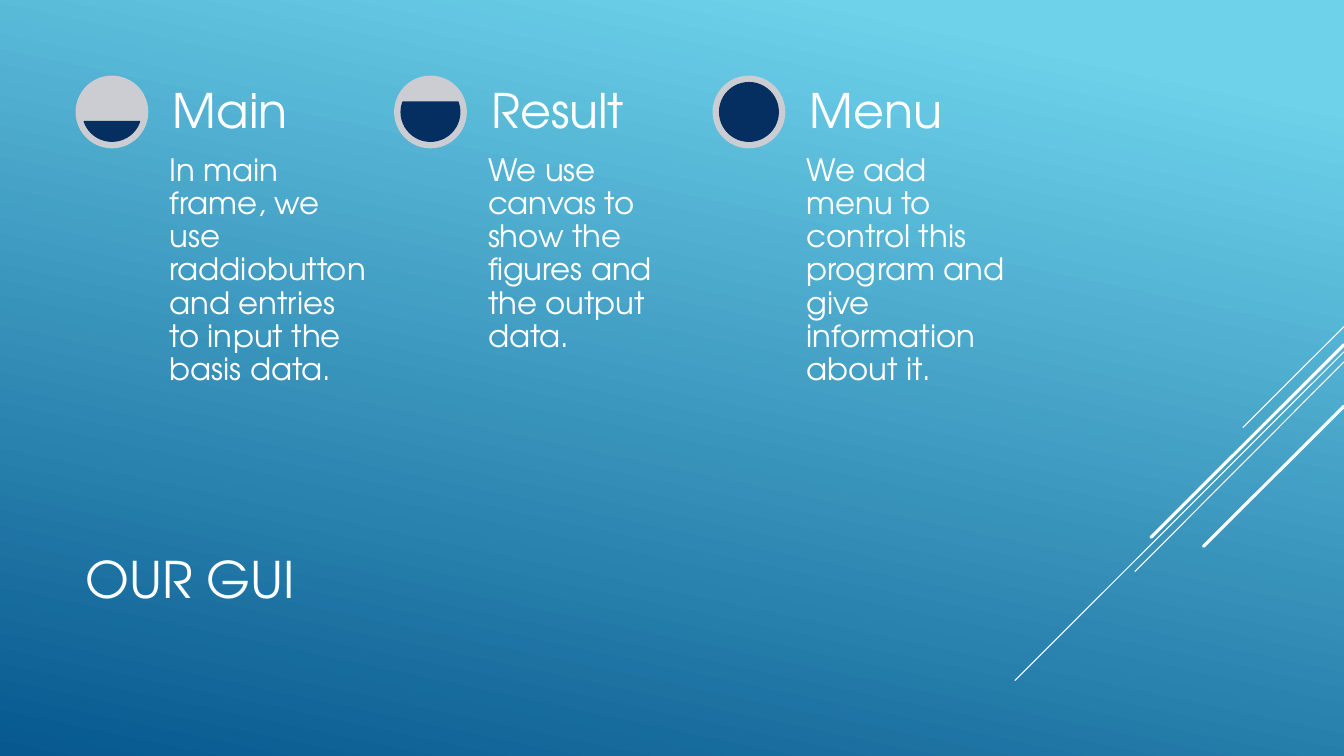
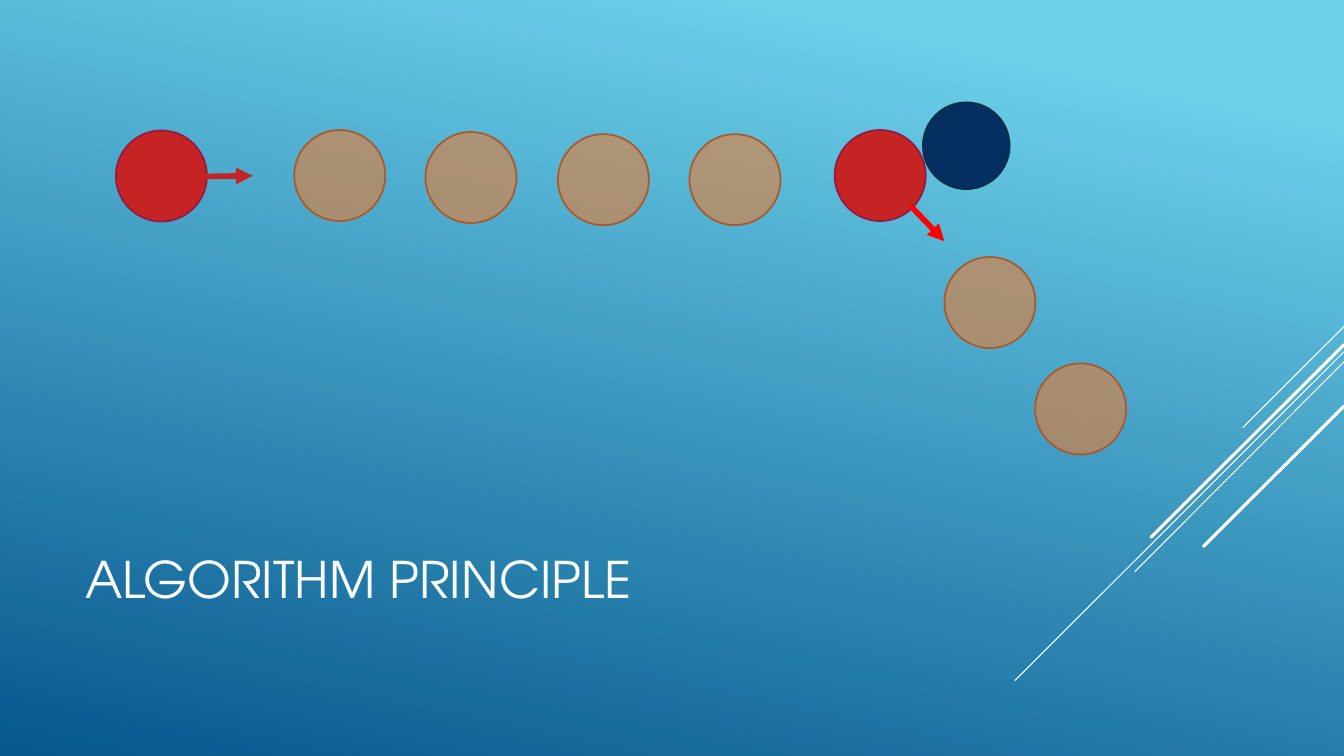
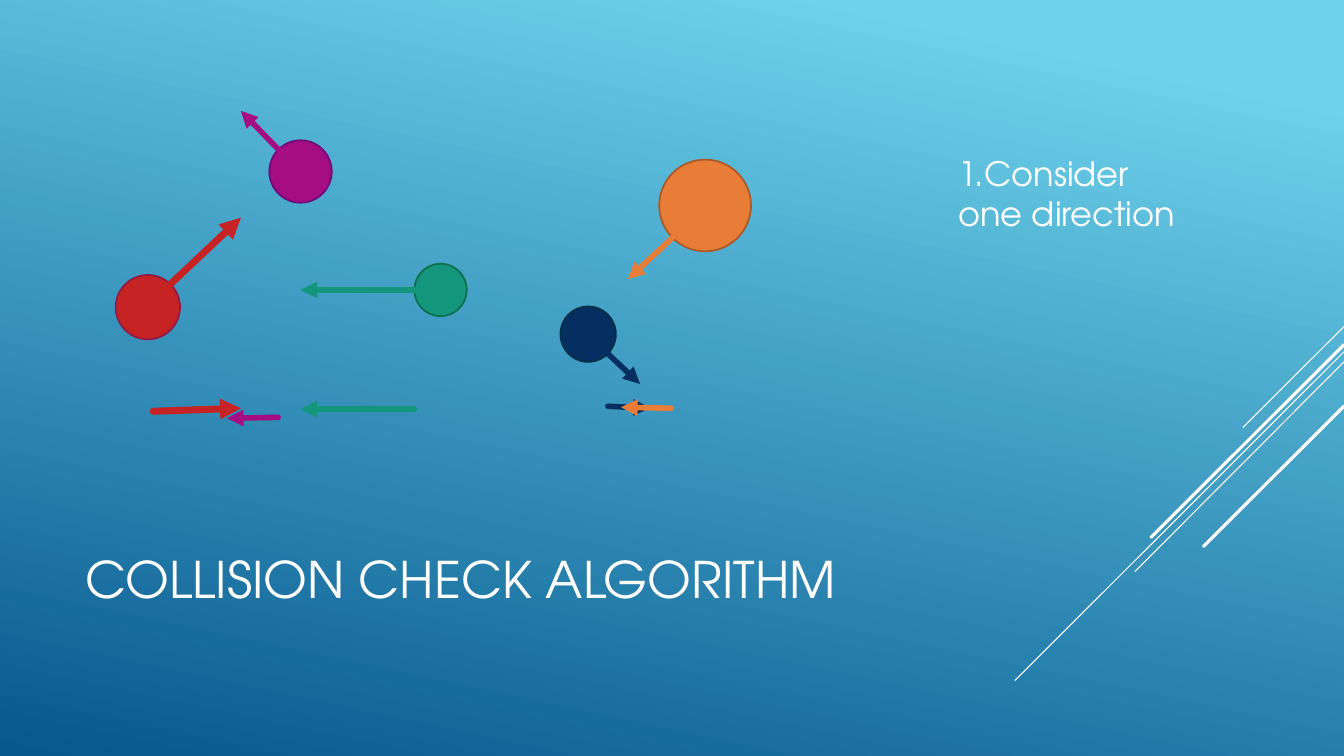
from dataclasses import dataclass
from math import asin, degrees
from typing import NamedTuple

from lxml.etree import SubElement
from pptx import Presentation
from pptx.dml.color import RGBColor
from pptx.enum.shapes import MSO_CONNECTOR as Connector, MSO_SHAPE as Preset
from pptx.enum.text import MSO_ANCHOR as Anchor, PP_ALIGN as Align
from pptx.oxml.ns import qn
from pptx.util import Pt


@dataclass(frozen=True)
class Theme:
    font: str = "TeX Gyre Adventor"
    title_size: float = 36
    heading_size: float = 34
    note_size: float = 24
    body_size: float = 22
    outline: float = 1.25
    arrow: float = 4
    heavy_arrow: float = 5
    white: str = "FFFFFF"
    sky: str = "6ED2EB"
    deep: str = "06588E"
    gray: str = "CCCDD2"
    navy: str = "052F61"
    navy_edge: str = "043148"
    red: str = "C62324"
    red_edge: str = "921A46"
    bright_red: str = "FF0000"
    purple: str = "A50E82"
    purple_edge: str = "710A7A"
    green: str = "14967C"
    green_edge: str = "0F6F4C"
    orange: str = "E87D37"
    orange_edge: str = "AC5929"


THEME = Theme()


class Ball(NamedTuple):
    left: float
    top: float
    diameter: float
    fill: str
    edge: str
    opacity: int = 100


class Line(NamedTuple):
    start: tuple[float, float]
    end: tuple[float, float]
    color: str
    width: float = THEME.arrow


class Frame(NamedTuple):
    heading: str
    body: str
    level: float


RAYS = [
    Line((960, 233.3), (887.8, 305.3), THEME.white, 0.75),
    Line((960, 251.3), (725, 486), THEME.white, 0.75),
    Line((960, 258.5), (810.7, 408.2), THEME.white, 0.75),
    Line((960, 246.2), (822.2, 383.8), THEME.white, 2.25),
    Line((960, 290.2), (859.7, 390.2), THEME.white, 2.25),
]

FRAMES = [
    Frame("Main", "In main frame, we use raddiobutton and entries to input the basis data.", 1 / 3),
    Frame("Result", "We use canvas to show the figures and the output data.", 2 / 3),
    Frame("Menu", "We add menu to control this program and give information about it.", 1),
]

GHOST_POSITIONS = [(210.2, 92.9), (303.9, 94.3), (398.5, 95.8), (492.5, 95.8),
                   (674.6, 183.6), (739.4, 259.6)]

PATH_BALLS = [
    Ball(82.8, 93.2, 65, THEME.red, THEME.red_edge),
    Ball(596.2, 92.9, 65, THEME.red, THEME.red_edge),
    *(Ball(left, top, 65, THEME.orange, THEME.orange_edge, 60) for left, top in GHOST_POSITIONS),
    Ball(659.2, 73.1, 62, THEME.navy, THEME.navy_edge),
]

PATH_ARROWS = [
    Line((147.6, 126), (180.5, 125.5), THEME.red),
    Line((651.6, 148.3), (674.6, 172.3), THEME.bright_red),
]

COLLISION_BALLS = [
    Ball(82.6, 196.4, 46, THEME.red, THEME.red_edge),
    Ball(192.4, 100.2, 44.6, THEME.purple, THEME.purple_edge),
    Ball(296, 188.4, 37.4, THEME.green, THEME.green_edge),
    Ball(470.9, 114, 65.5, THEME.orange, THEME.orange_edge),
    Ball(400.3, 218.9, 39.6, THEME.navy, THEME.navy_edge),
]

VELOCITY_ARROWS = [
    Line((121.7, 203), (172.1, 155.5), THEME.red, THEME.heavy_arrow),
    Line((198.7, 106.6), (172.1, 79.2), THEME.purple),
    Line((296, 207.2), (214.6, 207.2), THEME.green),
    Line((434.2, 252.7), (457.2, 274.3), THEME.navy),
    Line((480.2, 169.9), (448.6, 199.4), THEME.orange),
]

HORIZONTAL_ARROWS = [
    Line((109.4, 293.8), (172.1, 291.6), THEME.red, THEME.heavy_arrow),
    Line((198.7, 298.1), (162, 298.8), THEME.purple),
    Line((296, 292.3), (214.6, 292.3), THEME.green),
    Line((434.2, 290.2), (464.4, 291.6), THEME.navy),
    Line((479.5, 291.6), (443.5, 290.9), THEME.orange),
]


def color(value: str) -> RGBColor:
    return RGBColor.from_string(value)


def add_text(slide, text: str, left: float, top: float, width: float, height: float,
             size: float, anchor=Anchor.TOP, inset: float = 7.2, spacing: float = 1.0) -> None:
    shape = slide.shapes.add_textbox(Pt(left), Pt(top), Pt(width), Pt(height))
    frame = shape.text_frame
    frame.text = text
    frame.word_wrap = True
    frame.vertical_anchor = anchor
    frame.margin_left = frame.margin_right = Pt(inset)
    frame.margin_top = frame.margin_bottom = Pt(inset if inset != 7.2 else 3.6)
    paragraph = frame.paragraphs[0]
    paragraph.alignment = Align.LEFT
    paragraph.line_spacing = spacing
    font = paragraph.runs[0].font
    font.name = THEME.font
    font.size = Pt(size)
    font.color.rgb = color(THEME.white)


def add_line(slide, line: Line, arrow: bool = True) -> None:
    connector = slide.shapes.add_connector(
        Connector.STRAIGHT, *(Pt(value) for value in (*line.start, *line.end)))
    connector.line.color.rgb = color(line.color)
    connector.line.width = Pt(line.width)
    properties = connector.element.spPr
    outline = properties.find(qn("a:ln"))
    outline.set("cap", "rnd")
    if arrow:
        SubElement(outline, qn("a:tailEnd")).set("type", "triangle")
    SubElement(properties, qn("a:effectLst"))


def add_ball(slide, ball: Ball, preset=Preset.OVAL):
    shape = slide.shapes.add_shape(
        preset, Pt(ball.left), Pt(ball.top), Pt(ball.diameter), Pt(ball.diameter))
    shape.shadow.inherit = False
    shape.fill.solid()
    shape.fill.fore_color.rgb = color(ball.fill)
    if ball.opacity < 100:
        fill_color = shape.element.spPr.find(qn("a:solidFill"))[0]
        SubElement(fill_color, qn("a:alpha")).set("val", str(ball.opacity * 1000))
    shape.line.color.rgb = color(ball.edge)
    shape.line.width = Pt(THEME.outline)
    return shape


def add_gauge(slide, left: float, top: float, level: float) -> None:
    rim = add_ball(slide, Ball(left, top, 52, THEME.gray, THEME.gray))
    rim.line.fill.background()
    liquid = add_ball(slide, Ball(left + 5.2, top + 5.2, 41.6, THEME.navy, THEME.navy), Preset.CHORD)
    angle = degrees(asin(1 - 2 * level))
    adjustment_per_degree = 0.6
    liquid.adjustments[0] = angle % 360 * adjustment_per_degree
    liquid.adjustments[1] = (180 - angle) * adjustment_per_degree


def add_motion(slide, balls: list[Ball], arrows: list[Line]) -> None:
    for ball in balls:
        add_ball(slide, ball)
    for arrow in arrows:
        add_line(slide, arrow)


def add_slide(presentation, title: str):
    slide = presentation.slides.add_slide(presentation.slide_layouts[6])
    for placeholder in list(slide.placeholders):
        placeholder.element.getparent().remove(placeholder.element)
    for ray in RAYS:
        add_line(slide, ray, arrow=False)
    add_text(slide, title, 54, 353.5, 672, 118.8, THEME.title_size, Anchor.MIDDLE)
    return slide


def set_background(presentation) -> None:
    fill = presentation.slide_master.background.fill
    fill.gradient()
    fill.gradient_angle = 360 - 102
    for stop, value, position in zip(fill.gradient_stops, (THEME.sky, THEME.deep), (0.1, 1)):
        stop.color.rgb = color(value)
        stop.position = position


def add_gui_slide(presentation) -> None:
    slide = add_slide(presentation, "OUR GUI")
    for index, frame in enumerate(FRAMES):
        left, top = 54 + index * 227.5, 54
        text_left = left + 62.7
        add_gauge(slide, left, top, frame.level)
        add_text(slide, frame.body, text_left, top + 52, 154, 219,
                 THEME.body_size, inset=4.4, spacing=0.9)
        add_text(slide, frame.heading, text_left, top, 154, 52,
                 THEME.heading_size, Anchor.BOTTOM, inset=6.8, spacing=0.9)


def add_principle_slide(presentation) -> None:
    slide = add_slide(presentation, "ALGORITHM PRINCIPLE")
    add_motion(slide, PATH_BALLS, PATH_ARROWS)


def add_collision_slide(presentation) -> None:
    slide = add_slide(presentation, "COLLISION CHECK ALGORITHM")
    add_motion(slide, COLLISION_BALLS, VELOCITY_ARROWS + HORIZONTAL_ARROWS)
    add_text(slide, "1.Consider one direction", 677.5, 105.8, 185, 65.5, THEME.note_size)


def main() -> None:
    presentation = Presentation()
    presentation.slide_width = Pt(960)
    presentation.slide_height = Pt(540)
    set_background(presentation)
    add_gui_slide(presentation)
    add_principle_slide(presentation)
    add_collision_slide(presentation)
    presentation.save("out.pptx")


if __name__ == "__main__":
    main()
